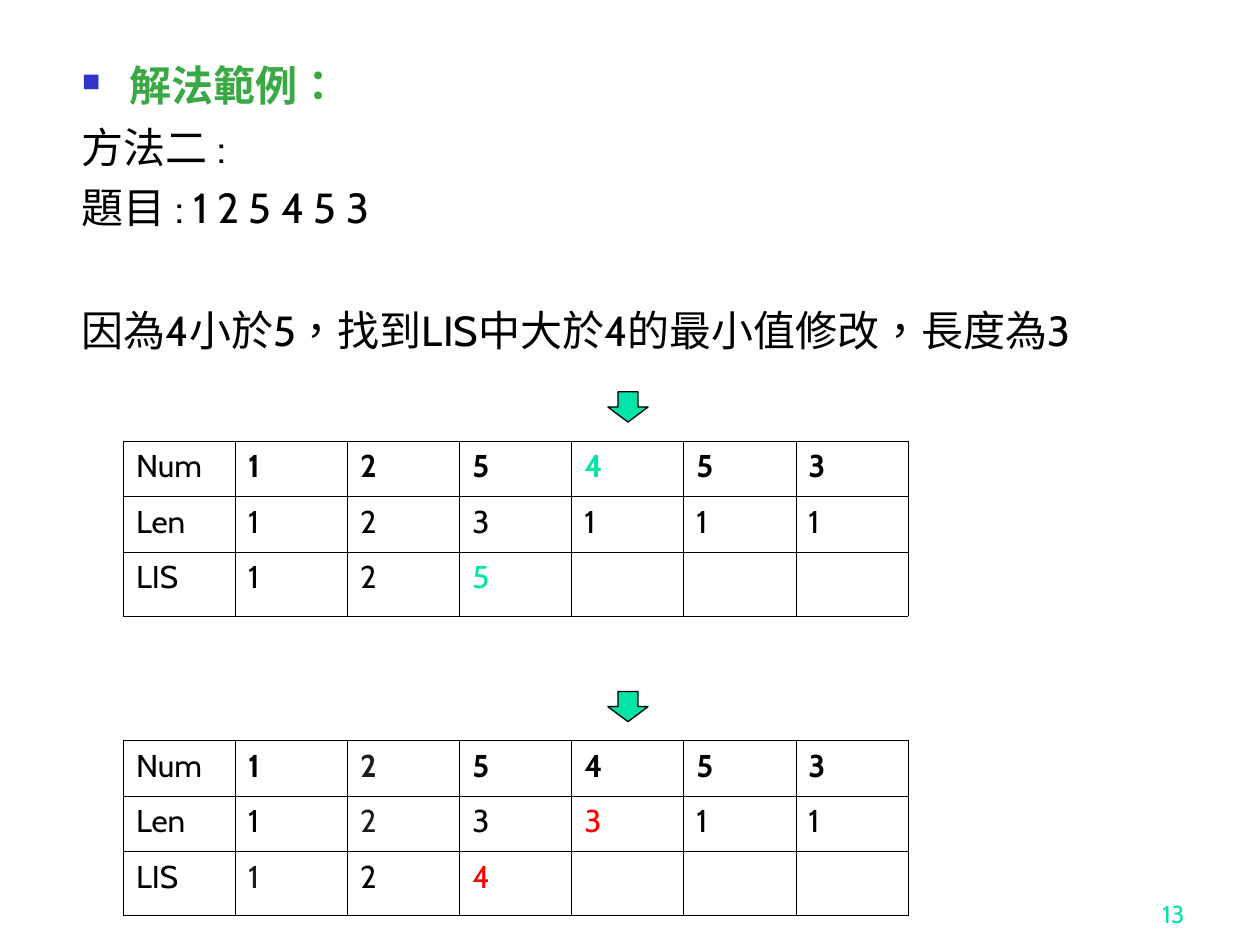
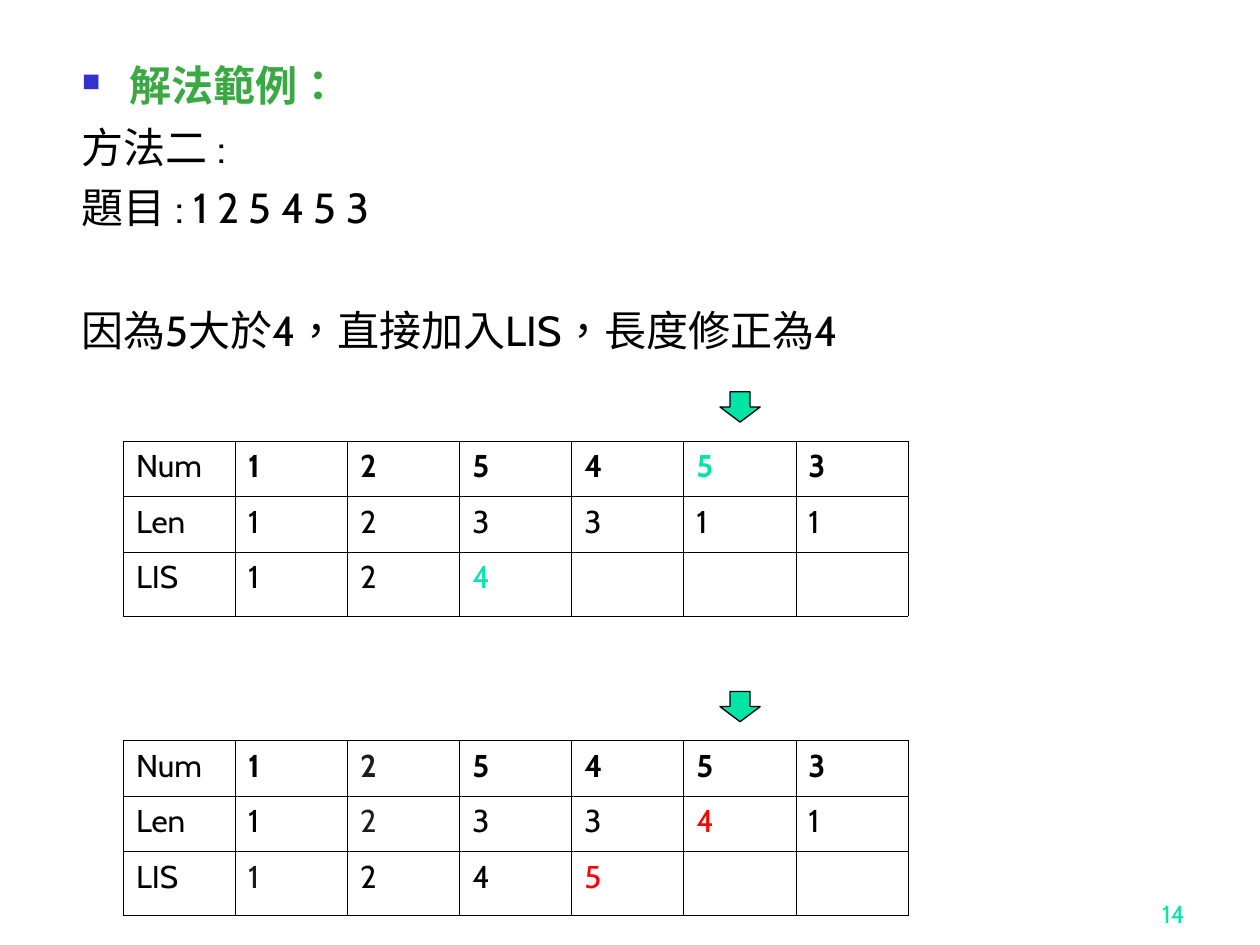
from lxml import etree
from pptx import Presentation
from pptx import util as u
from pptx.dml.color import RGBColor
from pptx.enum import lang, shapes, text
from pptx.oxml.ns import qn

BLACK, GREY, RED, MINT = "000000", "1C1C1C", "FF0000", "00E4A8"
GREEN, BLUE = "3BA943", "3333CC"
NUM, LEN, LIS = range(3)
FADED = {(NUM, 2): GREY, (LEN, 2): GREY, (LIS, 1): GREY}
SEQUENCE = "125453"

STEPS = [
    {
        "page": 13,
        "column": 4,
        "reason": "因為4小於5，找到LIS中大於4的最小值修改，長度為3",
        "before": (("123111", "125"), {(NUM, 4): MINT, (LIS, 3): MINT}),
        "after": (("123311", "124"), {**FADED, (LEN, 4): RED, (LIS, 3): RED}),
    },
    {
        "page": 14,
        "column": 5,
        "reason": "因為5大於4，直接加入LIS，長度修正為4",
        "before": (("123311", "124"), {(NUM, 5): MINT, (LIS, 3): MINT}),
        "after": (("123341", "1245"), {**FADED, (LEN, 5): RED, (LIS, 4): RED}),
    },
]


def rgb(code):
    """Turn a hex string into a colour."""
    return RGBColor.from_string(code)


def add_xml(parent, tag, **attributes):
    """Append a DrawingML element and return it."""
    return etree.SubElement(parent, qn(f"a:{tag}"), attributes)


class Lesson:
    """Draw the worked example, holding its style and the current slide."""

    font = "Cabin"
    heading_font = "Times New Roman"
    grid_left, column_width = 2.49, 2.26
    row_heights = (1.12, 1.12, 1.29)
    arrow_width, arrow_height, arrow_rise = 0.81, 0.61, 0.99

    def __init__(self):
        """Start an empty deck."""
        self.deck = Presentation()
        self.deck.slide_width, self.deck.slide_height = u.Cm(25.4), u.Cm(19.05)
        self.slide = None

    def new_slide(self):
        """Make a blank slide the current one."""
        self.slide = self.deck.slides.add_slide(self.deck.slide_layouts[6])

    def style(self, paragraph, size, color=BLACK, bold=False, name=None):
        """Format every run of a paragraph."""
        for run in paragraph.runs:
            run.font.size = u.Pt(size)
            run.font.name = name or self.font
            run.font.bold = bold
            run.font.color.rgb = rgb(color)
            run.font.language_id = lang.MSO_LANGUAGE_ID.TRADITIONAL_CHINESE

    def frame(self, left, top, width, height):
        """Add a wrapping text box and return its text frame."""
        box = self.slide.shapes.add_textbox(*map(u.Cm, (left, top, width, height)))
        box.text_frame.word_wrap = True
        return box.text_frame

    def explanation(self, reason):
        """Write the heading, the problem and the reason for the step."""
        body = self.frame(1.4, 1.19, 22.6, 16.64)
        body.text = "\n".join(["解法範例：", "方法二 :", "題目 : 1 2 5 4 5 3", reason])
        heading, method, problem, conclusion = body.paragraphs
        self.bullet(heading)
        heading.line_spacing = 0.9
        self.style(heading, 24, GREEN, True, self.heading_font)
        for line, gap in ((method, 6), (problem, 6), (conclusion, 41)):
            line.space_before = u.Pt(gap)
            self.style(line, 24)

    def bullet(self, paragraph):
        """Give a paragraph a small square bullet with a hanging indent."""
        properties = paragraph._p.get_or_add_pPr()
        indent = u.Cm(0.96)
        properties.set("marL", str(indent))
        properties.set("indent", str(-indent))
        add_xml(add_xml(properties, "buClr"), "srgbClr", val=BLUE)
        add_xml(properties, "buSzPct", val="60000")
        add_xml(properties, "buChar", char="■")

    def page_number(self, number):
        """Write the page number at the lower right."""
        footer = self.frame(18.85, 17.58, 5.28, 1.27)
        footer.vertical_anchor = text.MSO_ANCHOR.BOTTOM
        footer.text = str(number)
        footer.paragraphs[0].alignment = text.PP_ALIGN.RIGHT
        self.style(footer.paragraphs[0], 14, MINT)

    def arrow(self, column, grid_top):
        """Point down at the middle of a grid column."""
        middle = self.grid_left + (column + 0.5) * self.column_width
        pointer = self.slide.shapes.add_shape(
            shapes.MSO_SHAPE.DOWN_ARROW,
            u.Cm(middle - self.arrow_width / 2),
            u.Cm(grid_top - self.arrow_rise),
            u.Cm(self.arrow_width),
            u.Cm(self.arrow_height),
        )
        pointer.shadow.inherit = False
        pointer.fill.solid()
        pointer.fill.fore_color.rgb = rgb(MINT)
        pointer.line.color.rgb = rgb(BLACK)
        pointer.line.width = u.Pt(0.75)

    def border(self, cell):
        """Outline a cell with thin black lines and leave it unfilled."""
        properties = cell._tc.get_or_add_tcPr()
        for side in ("lnL", "lnR", "lnT", "lnB"):
            line = add_xml(properties, side, w=str(u.Pt(0.45)))
            add_xml(add_xml(line, "solidFill"), "srgbClr", val=BLACK)
        cell.fill.background()

    def grid(self, top, state, colors):
        """Show the sequence with its lengths and current LIS."""
        lengths, lis = state
        rows = [["Num", *SEQUENCE], ["Len", *lengths], ["LIS", *lis]]
        columns = len(SEQUENCE) + 1
        table = self.slide.shapes.add_table(
            len(rows), columns, u.Cm(self.grid_left), u.Cm(top),
            u.Cm(columns * self.column_width), u.Cm(sum(self.row_heights)),
        ).table
        table.first_row = table.horz_banding = False
        for column in table.columns:
            column.width = u.Cm(self.column_width)
        for r, (values, height) in enumerate(zip(rows, self.row_heights)):
            table.rows[r].height = u.Cm(height)
            for c in range(columns):
                cell = table.cell(r, c)
                self.border(cell)
                if c < len(values):
                    cell.text_frame.text = values[c]
                    bold = r == NUM and c > 0
                    color = colors.get((r, c), BLACK)
                    self.style(cell.text_frame.paragraphs[0], 18, color, bold)


def main():
    """Build one slide for each step and save the deck."""
    lesson = Lesson()
    for step in STEPS:
        lesson.new_slide()
        lesson.explanation(step["reason"])
        lesson.page_number(step["page"])
        for moment, top in (("before", 8.89), ("after", 14.93)):
            lesson.grid(top, *step[moment])
            lesson.arrow(step["column"], top)
    lesson.deck.save("out.pptx")


if __name__ == "__main__":
    main()
